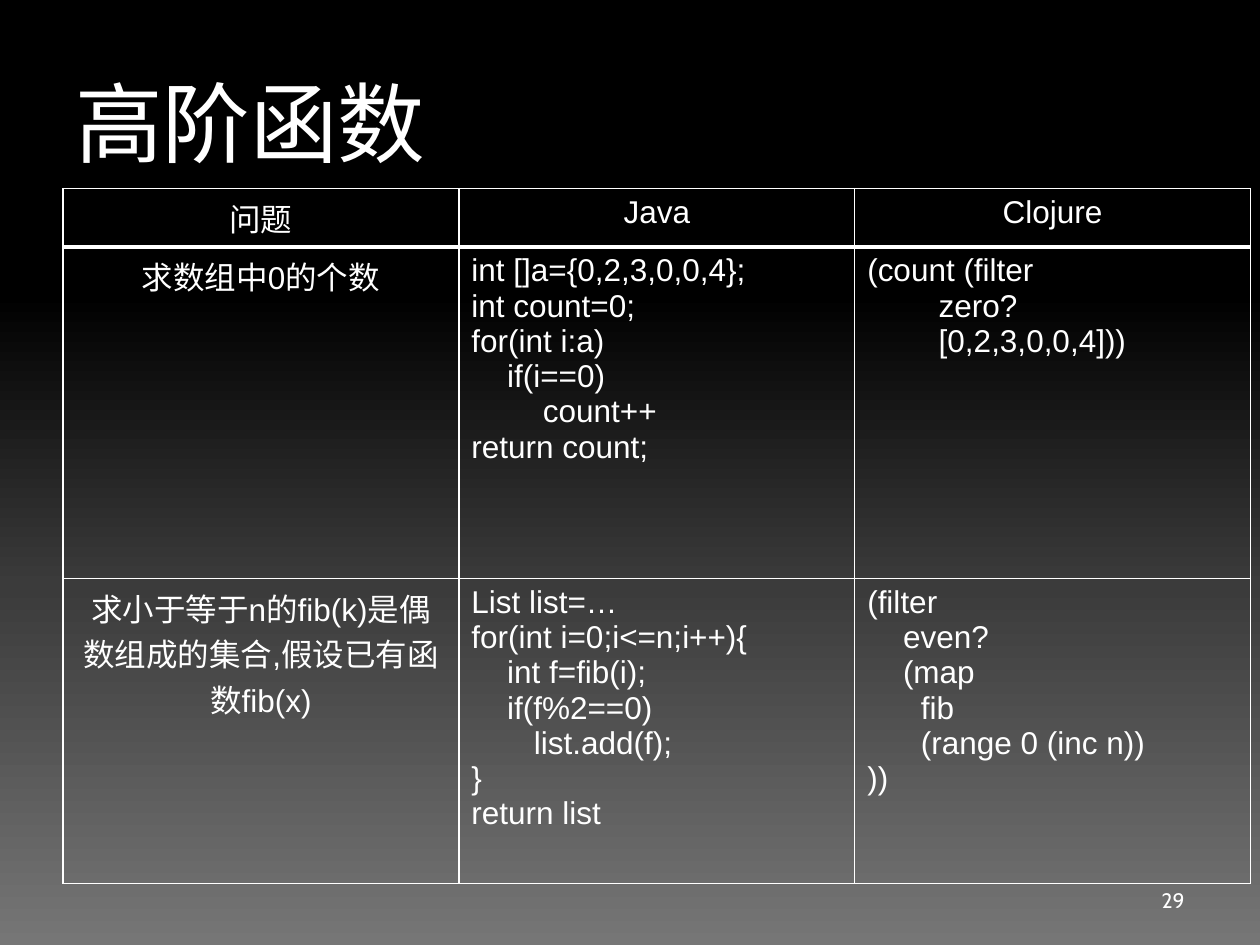
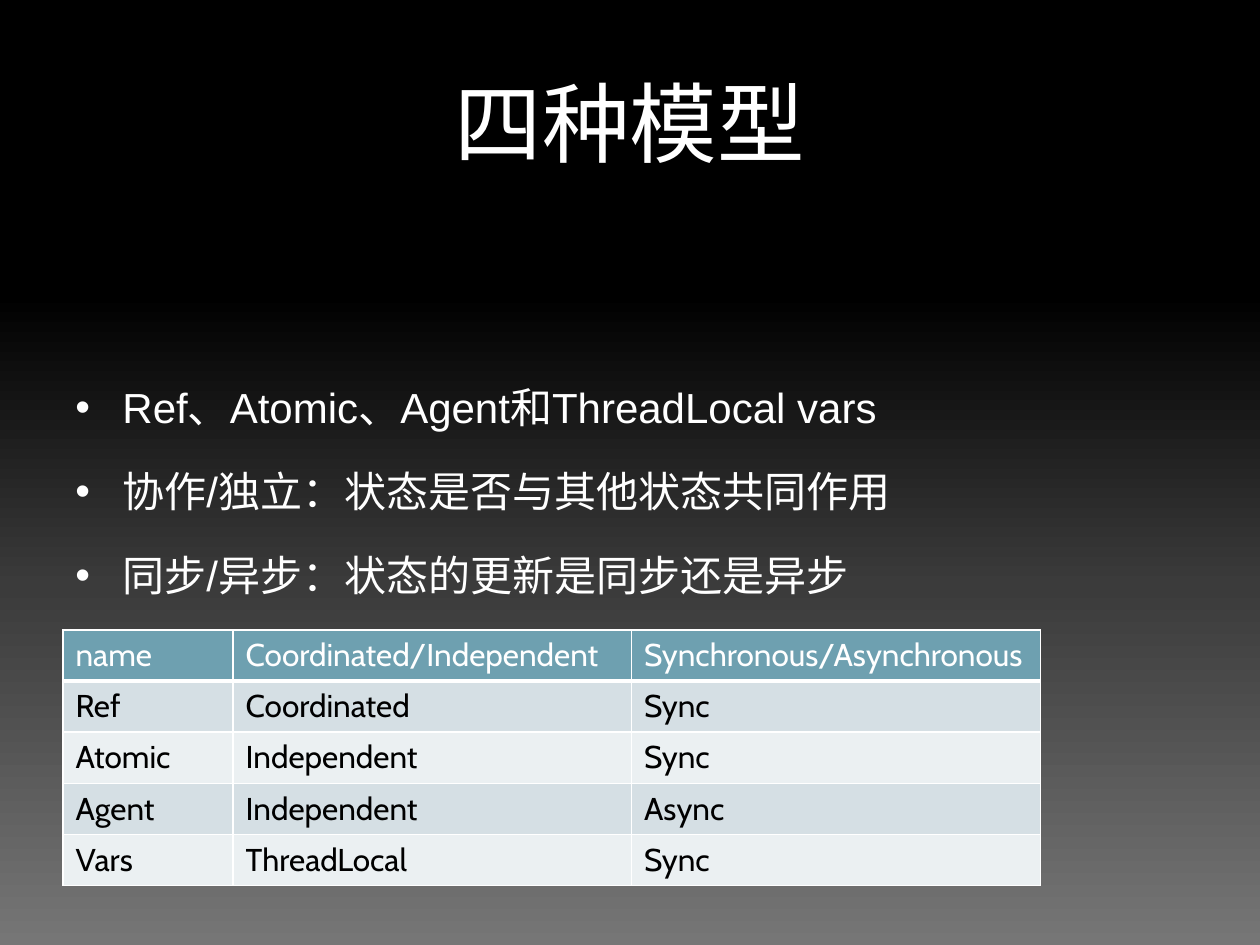
from lxml.etree import SubElement
from pptx import Presentation
from pptx.dml.color import RGBColor as RGB
from pptx.enum.text import MSO_ANCHOR as ANCHOR, PP_ALIGN as ALIGN
from pptx.oxml import parse_xml
from pptx.oxml.ns import nsdecls, qn
from pptx.util import Cm, Pt

C = {"text": "FFFFFF", "dark": "000000", "grey": "3B3B3B", "light": "767676",
     "head": "6EA0B0", "odd": "D5DFE4", "even": "EBF0F2"}
BACKDROP = [(0, "dark"), (31, "dark"), (62, "grey"), (100, "light")]
SPACE = 0.18


def write(tf, lines, size, font, color="text", align=ALIGN.LEFT):
    tf.word_wrap = True
    tf.text = "\n".join(line.lstrip() for line in lines)
    for p, line in zip(tf.paragraphs, lines):
        p.alignment = align
        f = p.runs[0].font
        f.size, f.name, f.color.rgb = Pt(size), font, RGB.from_string(C[color])
        indent = len(line) - len(line.lstrip())
        if indent:
            p._p.get_or_add_pPr().set("marL", str(Cm(indent * SPACE)))


def add_grid(s, left, top, widths, heights):
    frame = s.shapes.add_table(len(heights), len(widths), Cm(left), Cm(top),
                               Cm(sum(widths)), Cm(sum(heights)))
    tbl = frame.table
    tbl.first_row = tbl.horz_banding = False
    for col, width in zip(tbl.columns, widths):
        col.width = Cm(width)
    for i, (row, height) in enumerate(zip(tbl.rows, heights)):
        row.height = Cm(height)
        for cell in row.cells:
            tcPr = cell._tc.get_or_add_tcPr()
            for side in "LRTB":
                width = 3 if i == 0 and side == "B" else 1
                ln = SubElement(tcPr, qn(f"a:ln{side}"), w=str(Pt(width)))
                fill = SubElement(ln, qn("a:solidFill"))
                SubElement(fill, qn("a:srgbClr"), val=C["text"])
            cell.fill.background()
    return tbl


prs = Presentation()
prs.slide_width, prs.slide_height = Cm(25.4), Cm(19.05)

stops = "".join(f'<a:gs pos="{pos * 1000}"><a:srgbClr val="{C[name]}"/></a:gs>'
                for pos, name in BACKDROP)
slides = []
for title, align in [("高阶函数", ALIGN.LEFT), ("四种模型", ALIGN.CENTER)]:
    s = prs.slides.add_slide(prs.slide_layouts[6])
    s._element.cSld.insert(0, parse_xml(
        f'<p:bg {nsdecls("p", "a")}><p:bgPr><a:gradFill rotWithShape="1">'
        f'<a:gsLst>{stops}</a:gsLst><a:lin ang="5400000" scaled="0"/></a:gradFill>'
        '<a:effectLst/></p:bgPr></p:bg>'))
    sp = s.shapes.add_textbox(Cm(1.27), Cm(1.27), Cm(22.86), Cm(3.18))
    write(sp.text_frame, [title], 50, "Cabin", align=align)
    slides.append(s)
functions, models = slides

sp = functions.shapes.add_textbox(Cm(18.2), Cm(17.65), Cm(5.93), Cm(1.01))
sp.text_frame.vertical_anchor = ANCHOR.MIDDLE
write(sp.text_frame, ["29"], 12, "Cabin", align=ALIGN.RIGHT)

examples = [
    ("问题", "Java", "Clojure"),
    ("求数组中0的个数",
     """int []a={0,2,3,0,0,4};
int count=0;
for(int i:a)
    if(i==0)
        count++
return count;""",
     """(count (filter
        zero?
        [0,2,3,0,0,4]))"""),
    ("求小于等于n的fib(k)是偶数组成的集合,假设已有函数fib(x)",
     """List list=…
for(int i=0;i<=n;i++){
    int f=fib(i);
    if(f%2==0)
       list.add(f);
}
return list""",
     """(filter
    even?
    (map
      fib
      (range 0 (inc n))
))"""),
]
tbl = add_grid(functions, 1.27, 3.8, [7.98] * 3, [1.18, 6.68, 6.15])
for i, texts in enumerate(examples):
    for j, text in enumerate(texts):
        align = ALIGN.CENTER if i == 0 or j == 0 else ALIGN.LEFT
        write(tbl.cell(i, j).text_frame, text.split("\n"), 18, "Arial", align=align)

sp = models.shapes.add_textbox(Cm(1.27), Cm(4.45), Cm(22.86), Cm(12.57))
tf = sp.text_frame
tf.vertical_anchor = ANCHOR.MIDDLE
tf.margin_bottom = Cm(2.3)
write(tf, ["Ref、Atomic、Agent和ThreadLocal vars",
           "协作/独立：状态是否与其他状态共同作用",
           "同步/异步：状态的更新是同步还是异步"], 24, "Arial")
for p in tf.paragraphs:
    p.line_spacing = 1.5
    p.space_before = Pt(4.8)
    pPr = p._p.get_or_add_pPr()
    pPr.set("marL", str(Cm(0.95)))
    pPr.set("indent", str(Cm(-0.95)))
    SubElement(pPr, qn("a:buFont"), typeface="Arial")
    SubElement(pPr, qn("a:buChar"), char="•")

kinds = [
    ("name", "Coordinated/Independent", "Synchronous/Asynchronous"),
    ("Ref", "Coordinated", "Sync"),
    ("Atomic", "Independent", "Sync"),
    ("Agent", "Independent", "Async"),
    ("Vars", "ThreadLocal", "Sync"),
]
tbl = add_grid(models, 1.27, 12.7, [3.43, 8.03, 8.25], [1.03] * len(kinds))
for i, texts in enumerate(kinds):
    band = "head" if i == 0 else "odd" if i % 2 else "even"
    for j, text in enumerate(texts):
        cell = tbl.cell(i, j)
        cell.fill.solid()
        cell.fill.fore_color.rgb = RGB.from_string(C[band])
        write(cell.text_frame, [text], 18, "Cabin", "dark" if i else "text")

prs.save("out.pptx")
